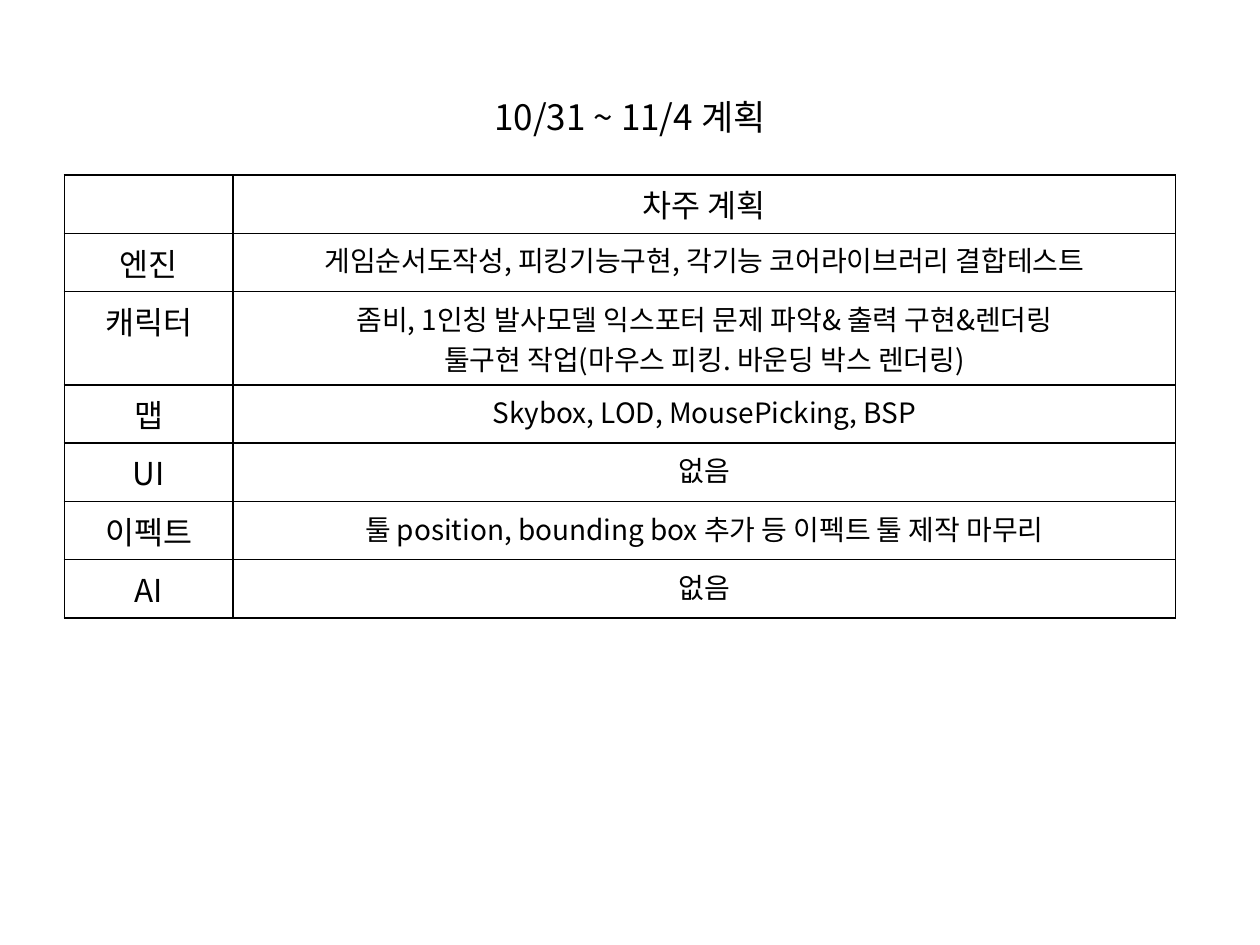
from typing import NamedTuple

from lxml import etree
from pptx import Presentation
from pptx.dml.color import RGBColor
from pptx.enum.text import MSO_ANCHOR, PP_ALIGN
from pptx.oxml.ns import qn
from pptx.util import Cm, Pt

CENTER = PP_ALIGN.CENTER
MIDDLE = MSO_ANCHOR.MIDDLE
BLACK = RGBColor(0x00, 0x00, 0x00)
FONT = "Noto Sans CJK KR"
TITLE_SIZE, LABEL_SIZE, PLAN_SIZE = 20, 18, 16
COLUMN_WIDTHS = (Cm(3.4), Cm(19))
ROW_HEIGHT = Cm(1.04)


class PlanRow(NamedTuple):
    label: str
    plan: str
    plan_size: int = PLAN_SIZE


PLAN_ROWS = [
    PlanRow("", "차주 계획", LABEL_SIZE),
    PlanRow("엔진", "게임순서도작성, 피킹기능구현, 각기능 코어라이브러리 결합테스트"),
    PlanRow(
        "캐릭터",
        "좀비, 1인칭 발사모델 익스포터 문제 파악& 출력 구현&렌더링\n"
        "툴구현 작업(마우스 피킹. 바운딩 박스 렌더링)",
    ),
    PlanRow("맵", "Skybox, LOD, MousePicking, BSP"),
    PlanRow("UI", "없음"),
    PlanRow("이펙트", "툴 position, bounding box 추가 등 이펙트 툴 제작 마무리"),
    PlanRow("AI", "없음"),
]


def write_text(text_frame, text: str, size: int) -> None:
    text_frame.text = text
    for para in text_frame.paragraphs:
        para.alignment = CENTER
        para.font.size = Pt(size)
        for span in para.runs:
            span.font.size = Pt(size)
            span.font.name = FONT
            span.font.color.rgb = BLACK
            properties = span.font._element
            etree.SubElement(properties, qn("a:ea"), typeface=FONT)


def add_borders(cell) -> None:
    properties = cell._tc.get_or_add_tcPr()
    for index, side in enumerate(("lnL", "lnR", "lnT", "lnB")):
        line = etree.Element(qn(f"a:{side}"), w=str(Pt(1)))
        fill = etree.SubElement(line, qn("a:solidFill"))
        etree.SubElement(fill, qn("a:srgbClr"), val=str(BLACK))
        properties.insert(index, line)


def add_title(page, text: str) -> None:
    title = page.shapes.title
    title.left, title.top = Cm(1.27), Cm(0.76)
    title.width, title.height = Cm(22.86), Cm(3.18)
    title.text_frame.vertical_anchor = MIDDLE
    write_text(title.text_frame, text, TITLE_SIZE)


def add_plan_table(page, plan_rows: list[PlanRow]) -> None:
    table = page.shapes.add_table(
        len(plan_rows), len(COLUMN_WIDTHS), Cm(1.3), Cm(3.53),
        sum(COLUMN_WIDTHS), ROW_HEIGHT * len(plan_rows),
    ).table
    table.first_row = False
    table.horz_banding = False
    for column, width in zip(table.columns, COLUMN_WIDTHS):
        column.width = width
    for row, plan_row in zip(table.rows, plan_rows):
        row.height = ROW_HEIGHT
        label_cell, plan_cell = row.cells
        write_text(label_cell.text_frame, plan_row.label, LABEL_SIZE)
        write_text(plan_cell.text_frame, plan_row.plan, plan_row.plan_size)
        for cell in (label_cell, plan_cell):
            cell.fill.background()
            add_borders(cell)


def main() -> None:
    deck = Presentation()
    deck.slide_width, deck.slide_height = Cm(25.4), Cm(19.05)
    page = deck.slides.add_slide(deck.slide_layouts[5])
    add_title(page, "10/31 ~ 11/4 계획")
    add_plan_table(page, PLAN_ROWS)
    deck.save("out.pptx")


if __name__ == "__main__":
    main()
